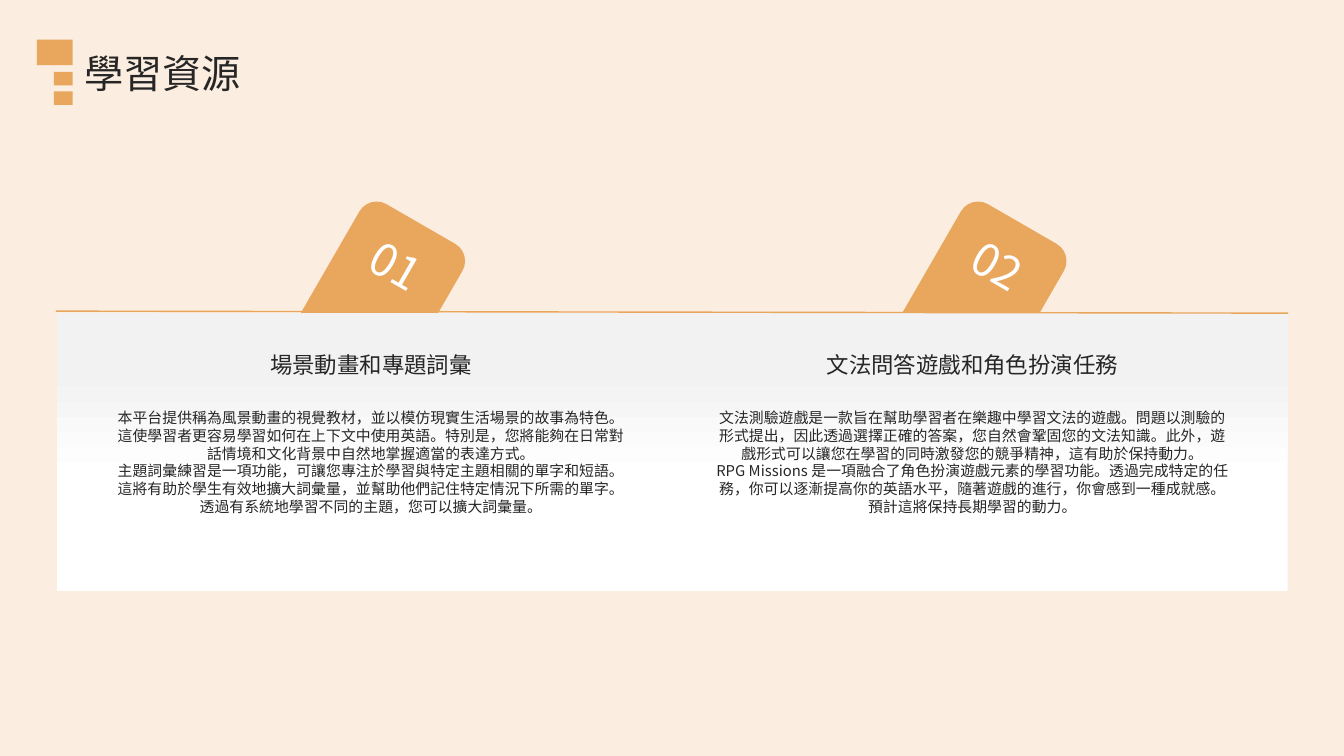
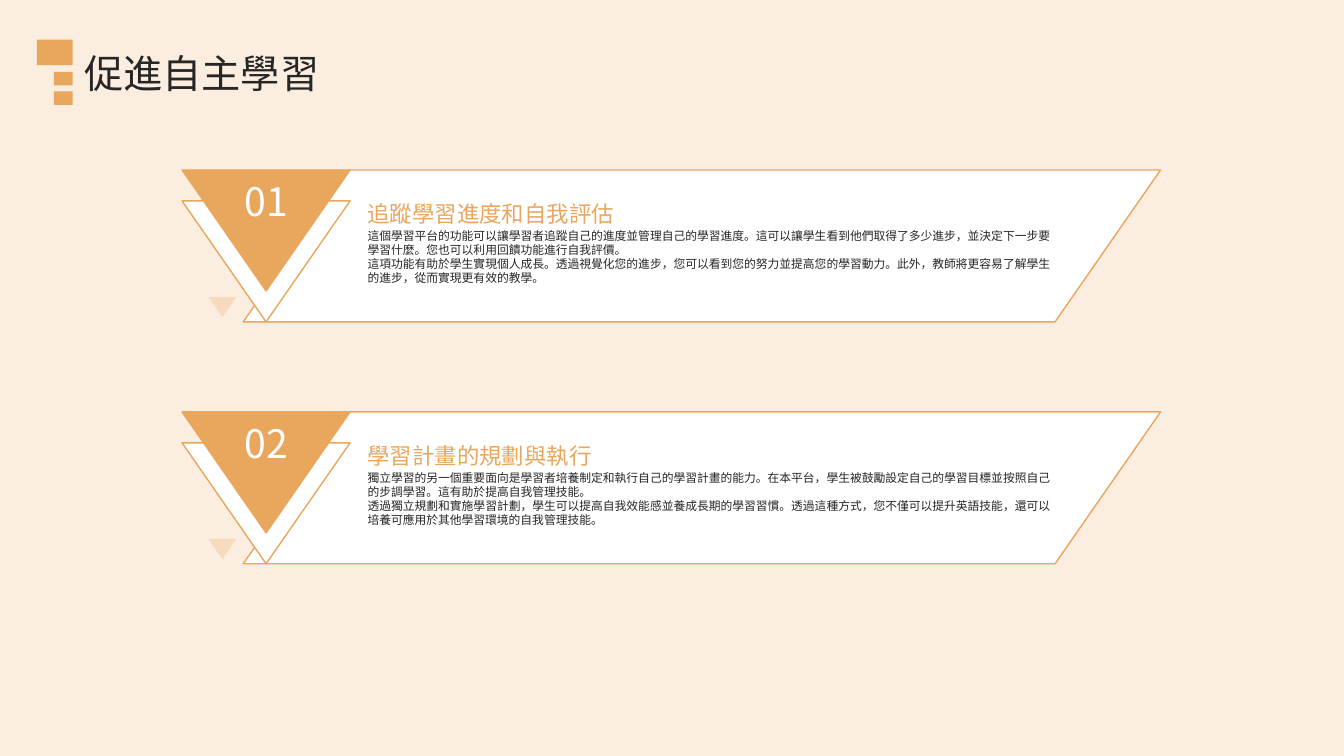
import pptx
import pptx.dml.color
import pptx.enum.shapes
import pptx.enum.text
import pptx.oxml.ns
import pptx.util
from lxml import etree

PX = 9144  # 100 px to the inch
FONT = "Noto Sans CJK SC"
CREAM, ORANGE, PALE_ORANGE = "FBEDDF", "E9A65D", "F6DBBE"
WHITE, GREY, INK = "FFFFFF", "F2F2F2", "262626"
COMPARISON_LAYOUT = 4
TITLE_ID = 0
CARD_IDS = [(1, 2), (3, 4)]  # heading and body placeholders

SHAPES = pptx.enum.shapes.MSO_SHAPE
LEFT = pptx.enum.text.PP_ALIGN.LEFT
CENTER = pptx.enum.text.PP_ALIGN.CENTER
qn = pptx.oxml.ns.qn

RESOURCES = [
    ("場景動畫和專題詞彙", [
        "本平台提供稱為風景動畫的視覺教材，並以模仿現實生活場景的故事為特色。這使學習者更容易學習如何在上下文中使用英語。"
        "特別是，您將能夠在日常對話情境和文化背景中自然地掌握適當的表達方式。",
        "主題詞彙練習是一項功能，可讓您專注於學習與特定主題相關的單字和短語。這將有助於學生有效地擴大詞彙量，"
        "並幫助他們記住特定情況下所需的單字。透過有系統地學習不同的主題，您可以擴大詞彙量。",
    ]),
    ("文法問答遊戲和角色扮演任務", [
        "文法測驗遊戲是一款旨在幫助學習者在樂趣中學習文法的遊戲。問題以測驗的形式提出，因此透過選擇正確的答案，"
        "您自然會鞏固您的文法知識。此外，遊戲形式可以讓您在學習的同時激發您的競爭精神，這有助於保持動力。",
        "RPG Missions 是一項融合了角色扮演遊戲元素的學習功能。透過完成特定的任務，你可以逐漸提高你的英語水平，"
        "隨著遊戲的進行，你會感到一種成就感。預計這將保持長期學習的動力。",
    ]),
]
AUTONOMY = [
    ("追蹤學習進度和自我評估", [
        "這個學習平台的功能可以讓學習者追蹤自己的進度並管理自己的學習進度。這可以讓學生看到他們取得了多少進步，"
        "並決定下一步要學習什麼。您也可以利用回饋功能進行自我評價。",
        "這項功能有助於學生實現個人成長。透過視覺化您的進步，您可以看到您的努力並提高您的學習動力。此外，"
        "教師將更容易了解學生的進步，從而實現更有效的教學。",
    ]),
    ("學習計畫的規劃與執行", [
        "獨立學習的另一個重要面向是學習者培養制定和執行自己的學習計畫的能力。在本平台，"
        "學生被鼓勵設定自己的學習目標並按照自己的步調學習。這有助於提高自我管理技能。",
        "透過獨立規劃和實施學習計劃，學生可以提高自我效能感並養成長期的學習習慣。透過這種方式，"
        "您不僅可以提升英語技能，還可以培養可應用於其他學習環境的自我管理技能。",
    ]),
]


def rgb(color):
    return pptx.dml.color.RGBColor.from_string(color)


def set_all(target, values):
    for name, value in values.items():
        setattr(target, name, value)


class Deck:
    def __init__(self):
        self.presentation = pptx.Presentation()
        set_all(self.presentation, {"slide_width": 2000 * PX, "slide_height": 1125 * PX})
        background = self.presentation.slide_master.background.fill
        background.solid()
        background.fore_color.rgb = rgb(CREAM)
        self.slide = None

    def add_slide(self, title):
        """Start a slide with its title and the three corner blocks."""
        layout = self.presentation.slide_layouts[COMPARISON_LAYOUT]
        self.slide = self.presentation.slides.add_slide(layout)
        self.text([title], (125, 74, 1781, 79), 42, INK, placeholder=TITLE_ID)
        for box in [(55, 59, 53, 38), (80, 107, 28, 20), (80, 136, 28, 20)]:
            self.shape(SHAPES.RECTANGLE, box, ORANGE)

    def shape(self, kind, box, fill, line=None, rotation=0):
        shape = self.slide.shapes.add_shape(kind, *(length * PX for length in box))
        shape.shadow.inherit = False
        shape.rotation = rotation
        shape.fill.solid()
        shape.fill.fore_color.rgb = rgb(fill)
        if line:
            shape.line.color.rgb = rgb(line)
            shape.line.width = pptx.util.Pt(1.5)
        else:
            shape.line.fill.background()
        return shape

    def gradient_panel(self, box):
        fill = self.shape(SHAPES.RECTANGLE, box, WHITE).fill
        fill.gradient()
        fill.gradient_angle = 90
        for stop, position, color in zip(fill.gradient_stops, (0.41, 0.79), (WHITE, GREY)):
            stop.position = position
            stop.color.rgb = rgb(color)

    def line(self, start, end):
        connector = self.slide.shapes.add_connector(
            pptx.enum.shapes.MSO_CONNECTOR.STRAIGHT, *(length * PX for length in start + end))
        connector.line.color.rgb = rgb(ORANGE)
        connector.line.width = pptx.util.Pt(1.5)
        etree.SubElement(connector.element.spPr, qn("a:effectLst"))

    def text(self, lines, box, size, color, align=LEFT, placeholder=None, rotation=0):
        """Write into the placeholder with that id, or else into a new text box."""
        left, top, width, height = (length * PX for length in box)
        if placeholder is None:
            shape = self.slide.shapes.add_textbox(left, top, width, height)
        else:
            shape = next(item for item in self.slide.placeholders
                         if item.placeholder_format.idx == placeholder)
            # Placeholders start behind everything; bring this one to the front.
            shape.element.getparent().append(shape.element)
        set_all(shape, {"left": left, "top": top, "width": width, "height": height,
                        "rotation": rotation})
        frame = shape.text_frame
        set_all(frame, {
            "margin_left": 0, "margin_top": 0, "margin_right": 0, "margin_bottom": 0,
            "word_wrap": True,
            "auto_size": pptx.enum.text.MSO_AUTO_SIZE.NONE,
            "vertical_anchor": pptx.enum.text.MSO_ANCHOR.TOP,
        })
        for index, line in enumerate(lines):
            paragraph = frame.add_paragraph() if index else frame.paragraphs[0]
            if placeholder is not None:
                properties = paragraph._p.get_or_add_pPr()
                properties.set("marL", "0")
                properties.set("indent", "0")
                etree.SubElement(properties, qn("a:buNone"))
            set_all(paragraph, {"alignment": align, "space_before": pptx.util.Pt(0),
                                "line_spacing": pptx.util.Pt(round(size * 1.2, 1))})
            run = paragraph.add_run()
            run.text = line
            set_all(run.font, {"size": pptx.util.Pt(size), "name": FONT, "bold": False})
            run.font.color.rgb = rgb(color)
        for properties in shape.element.iter(qn("a:rPr")):
            etree.SubElement(properties, qn("a:ea"), typeface=FONT)


def build_resources(deck):
    deck.add_slide("學習資源")
    columns = [168 + 895 * index for index in range(len(RESOURCES))]
    for number, left in enumerate(columns, 1):
        deck.shape(SHAPES.ROUNDED_RECTANGLE, (left + 290, 312, 177, 319), ORANGE, rotation=30)
        deck.text([f"{number:02}"], (left + 360, 354, 118, 90), 48, WHITE, CENTER, rotation=30)
    deck.gradient_panel((85, 466, 1831, 413))
    deck.line((83, 463), (1917, 466))
    for left, (heading, body), (heading_id, body_id) in zip(columns, RESOURCES, CARD_IDS):
        deck.text([heading], (left, 522, 768, 45), 24, INK, CENTER, heading_id)
        deck.text(body, (left, 608, 768, 160), 15.9, INK, CENTER, body_id)


def build_autonomy(deck):
    deck.add_slide("促進自主學習")
    for index, ((heading, body), (heading_id, body_id)) in enumerate(zip(AUTONOMY, CARD_IDS)):
        top = 253 + 360 * index
        banner = deck.shape(SHAPES.PARALLELOGRAM, (362, top, 1365, 226), WHITE, ORANGE)
        banner.adjustments[0] = 157 / 226  # slant over height
        for offset, fill in [(46, WHITE), (0, ORANGE)]:
            deck.shape(SHAPES.FLOWCHART_MERGE, (271, top + offset, 250, 180), fill, ORANGE)
        deck.shape(SHAPES.FLOWCHART_MERGE, (310, top + 189, 42, 30), PALE_ORANGE)
        deck.text([f"{index + 1:02}"], (352, top + 11, 89, 79), 42, WHITE, CENTER)
        deck.text([heading], (547, top + 45, 1026, 45), 24, ORANGE, placeholder=heading_id)
        deck.text(body, (547, top + 87, 1026, 86), 12.6, INK, placeholder=body_id)


def main():
    deck = Deck()
    build_resources(deck)
    build_autonomy(deck)
    deck.presentation.save("out.pptx")


if __name__ == "__main__":
    main()
